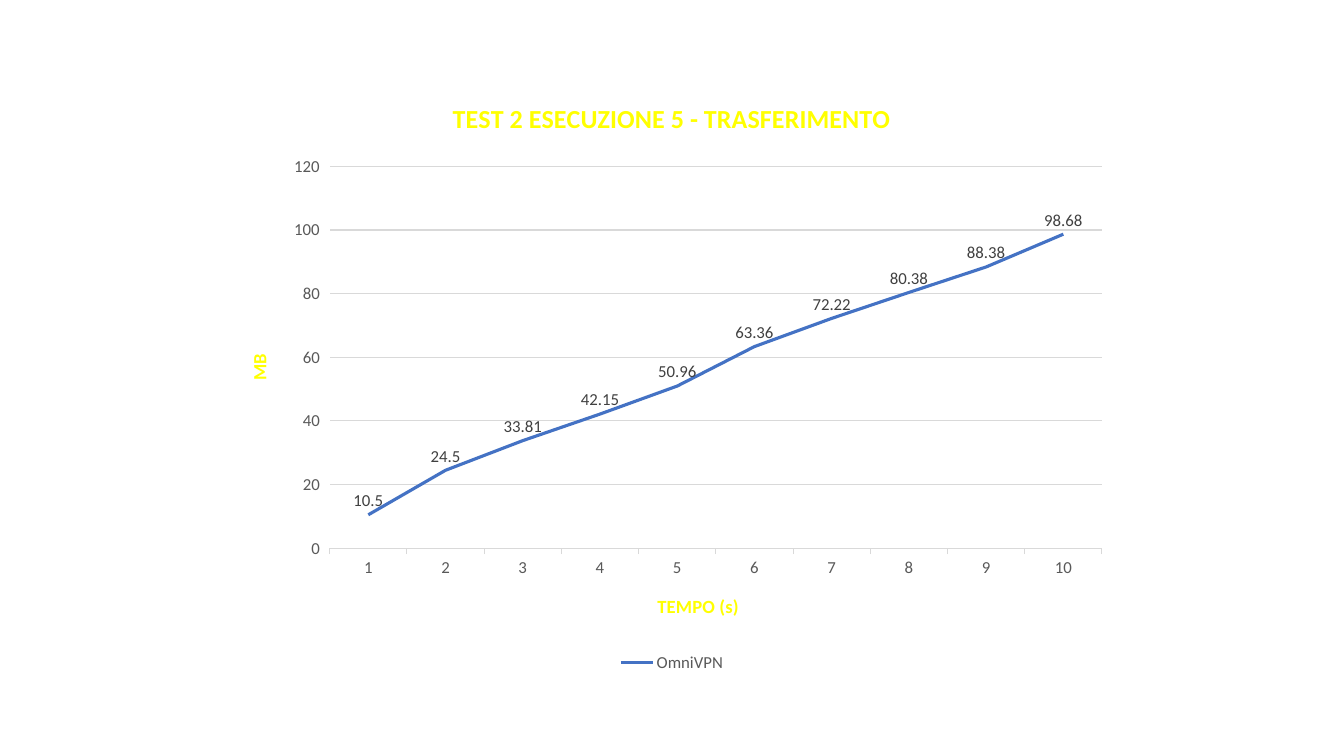
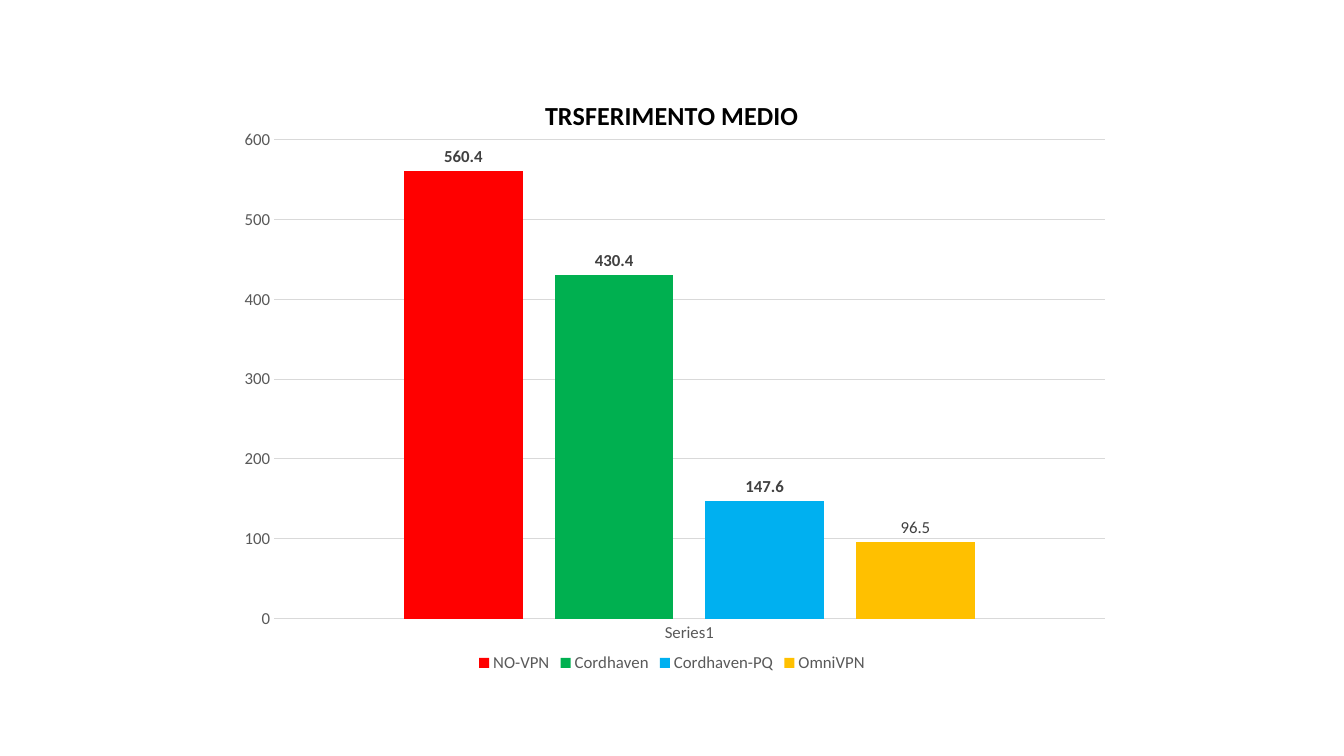
from lxml.etree import SubElement
from pptx import Presentation
from pptx.chart.data import CategoryChartData
from pptx.dml.color import RGBColor
from pptx.enum.chart import (XL_CHART_TYPE, XL_LABEL_POSITION, XL_LEGEND_POSITION,
                             XL_MARKER_STYLE, XL_TICK_MARK)
from pptx.oxml.ns import qn
from pptx.util import Inches, Pt

FONT = "Calibri"
BLACK = RGBColor(0x00, 0x00, 0x00)
YELLOW = RGBColor(0xFF, 0xFF, 0x00)
GRAY = RGBColor(0x59, 0x59, 0x59)
DARK = RGBColor(0x40, 0x40, 0x40)
RULE = RGBColor(0xD9, 0xD9, 0xD9)
BLUE = RGBColor(0x44, 0x72, 0xC4)
RED = RGBColor(0xFF, 0x00, 0x00)
GREEN = RGBColor(0x00, 0xB0, 0x50)
SKY = RGBColor(0x00, 0xB0, 0xF0)
AMBER = RGBColor(0xFF, 0xC0, 0x00)

SLIDE_W, SLIDE_H = Inches(13.33), Inches(7.5)
TITLE_SIZE, AXIS_TITLE_SIZE, TEXT_SIZE = Pt(18.6), Pt(13.3), Pt(12)
TUNNEL = "OmniVPN"


def set_layout(parent, inner=False, **percents):
    """Place a chart part by percents (x, y, w, h) of the chart's size."""
    old = parent.find(qn("c:layout"))
    if old is not None:
        parent.remove(old)
    layout = parent.makeelement(qn("c:layout"), {})
    parent.insert(1 if parent.find(qn("c:tx")) is not None else 0, layout)
    manual = SubElement(layout, qn("c:manualLayout"))
    settings = {"layoutTarget": "inner"} if inner else {}
    settings.update(xMode="edge", yMode="edge")
    settings.update({tag: round(val / 100, 4) for tag, val in percents.items()})
    for tag, val in settings.items():
        SubElement(manual, qn(f"c:{tag}")).set("val", str(val))


def style_font(font, size=TEXT_SIZE, color=GRAY, bold=False):
    font.name, font.size, font.bold = FONT, size, bold
    font.color.rgb = color


def write_title(title, text, size, color, x, y):
    r = title.text_frame.paragraphs[0].add_run()
    r.text = text
    style_font(r.font, size, color, True)
    set_layout(title._element, x=x, y=y)


def style_line(line, color, width=0.75):
    line.color.rgb = color
    line.width = Pt(width)


def style_labels(series, position, bold=False):
    labels = series.data_labels
    labels.show_value = True
    labels.position = position
    style_font(labels.font, color=DARK, bold=bold)


def add_chart(slide, kind, categories, series, box, plot, tick):
    """Chart with the axes, grid and legend that all slides share."""
    data = CategoryChartData()
    data.categories = categories
    for name, values in series:
        data.add_series(name, values)
    chart = slide.shapes.add_chart(kind, *box, data).chart
    chart.font.name, chart.font.size = FONT, Pt(10)
    set_layout(chart._chartSpace.chart.plotArea, True, **plot)

    # Axes and grid
    cat, val = chart.category_axis, chart.value_axis
    for axis in (cat, val):
        axis.major_tick_mark = tick
        axis.minor_tick_mark = XL_TICK_MARK.NONE
        style_font(axis.tick_labels.font)
    style_line(cat.format.line, RULE)
    val.format.line.fill.background()
    val.minimum_scale = 0
    val.has_major_gridlines = True
    style_line(val.major_gridlines.format.line, RULE)

    # Legend
    chart.has_legend = True
    chart.legend.position = XL_LEGEND_POSITION.BOTTOM
    chart.legend.include_in_layout = False
    style_font(chart.legend.font)
    chart.has_title = True
    chart.plots[0].vary_by_categories = False
    return chart


def transfer_slide(slide, box):
    values = (10.5, 24.5, 33.81, 42.15, 50.96, 63.36, 72.22, 80.38, 88.38, 98.68)
    chart = add_chart(slide, XL_CHART_TYPE.LINE, [str(n) for n in range(1, 11)],
                      [(TUNNEL, values)], box,
                      dict(x=11.8, y=14.6, w=86.2, h=63.9), XL_TICK_MARK.OUTSIDE)
    # Titles
    write_title(chart.chart_title, "TEST 2 ESECUZIONE 5 - TRASFERIMENTO",
                TITLE_SIZE, YELLOW, 25, 2.8)
    write_title(chart.category_axis.axis_title, "TEMPO (s)",
                AXIS_TITLE_SIZE, YELLOW, 48, 85.5)
    write_title(chart.value_axis.axis_title, "MB", AXIS_TITLE_SIZE, YELLOW, 2.1, 45.4)
    chart.value_axis.maximum_scale, chart.value_axis.major_unit = 120, 20

    # Line
    line = chart.plots[0].series[0]
    line.smooth = False
    line.marker.style = XL_MARKER_STYLE.NONE
    style_line(line.format.line, BLUE, 2.25)
    style_labels(line, XL_LABEL_POSITION.ABOVE)


def average_slide(slide, box):
    # Name, value, colour, bold label
    bars = [("NO-VPN", 560.4, RED, True), ("Cordhaven", 430.4, GREEN, True),
            ("Cordhaven-PQ", 147.6, SKY, True), (TUNNEL, 96.5, AMBER, False)]
    chart = add_chart(slide, XL_CHART_TYPE.COLUMN_CLUSTERED, ["Series1"],
                      [(name, [value]) for name, value, _, _ in bars], box,
                      dict(x=5.6, y=10.1, w=92.7, h=80.2), XL_TICK_MARK.NONE)
    write_title(chart.chart_title, "TRSFERIMENTO MEDIO", TITLE_SIZE, BLACK, 35.3, 2.3)
    chart.value_axis.maximum_scale, chart.value_axis.major_unit = 600, 100

    # Columns
    plot = chart.plots[0]
    plot.gap_width, plot.overlap = 219, -27
    for column, (_, _, color, bold) in zip(plot.series, bars):
        column.format.fill.solid()
        column.format.fill.fore_color.rgb = color
        style_labels(column, XL_LABEL_POSITION.OUTSIDE_END, bold)


def main():
    prs = Presentation()
    prs.slide_width, prs.slide_height = SLIDE_W, SLIDE_H
    # Chart area: two thirds of the slide's width, centred
    w, h = int(SLIDE_W * 2 / 3), Inches(5.93)
    box = ((SLIDE_W - w) // 2, (SLIDE_H - h) // 2, w, h)
    for build in (transfer_slide, average_slide):
        build(prs.slides.add_slide(prs.slide_layouts[6]), box)
    prs.save("out.pptx")


if __name__ == "__main__":
    main()
